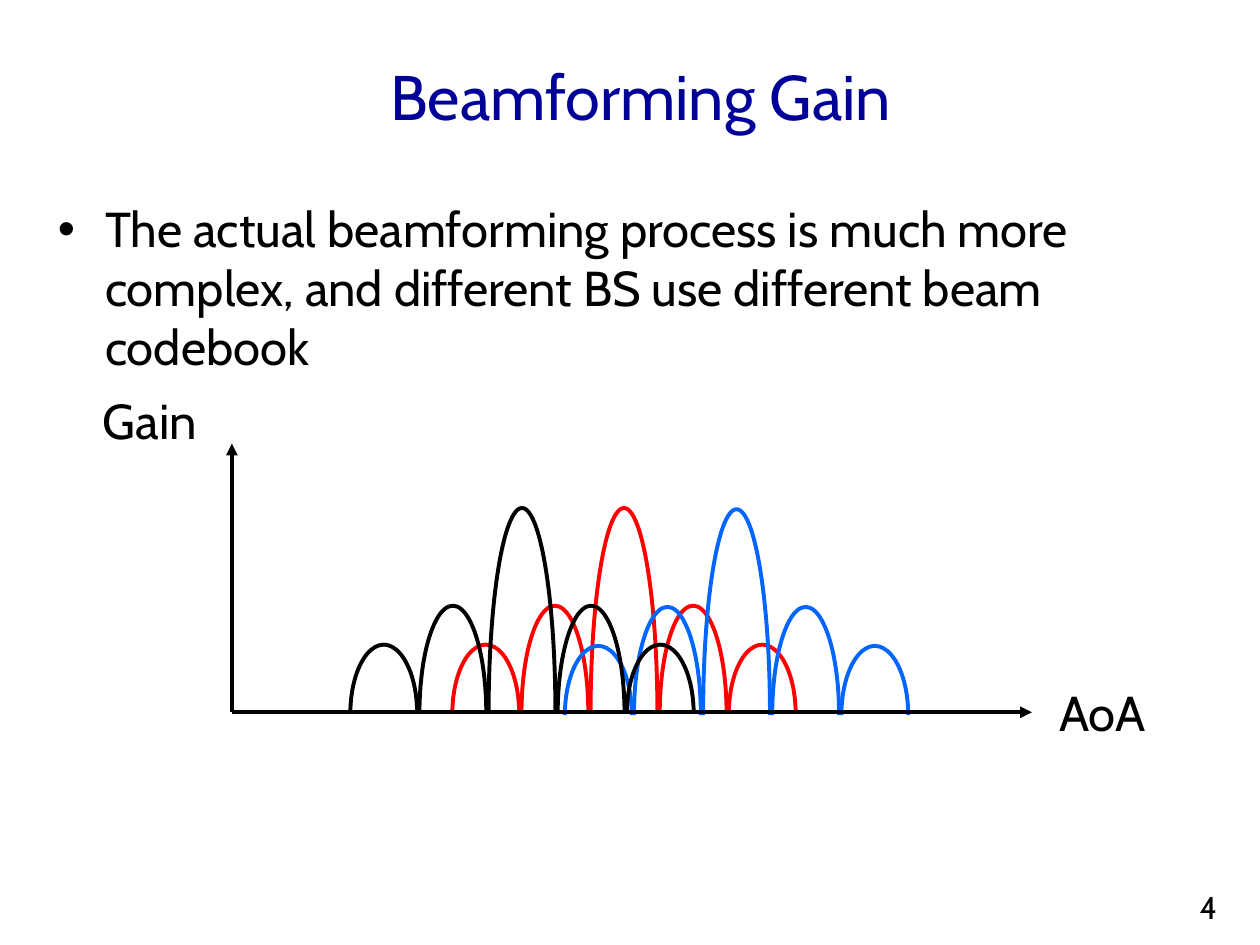
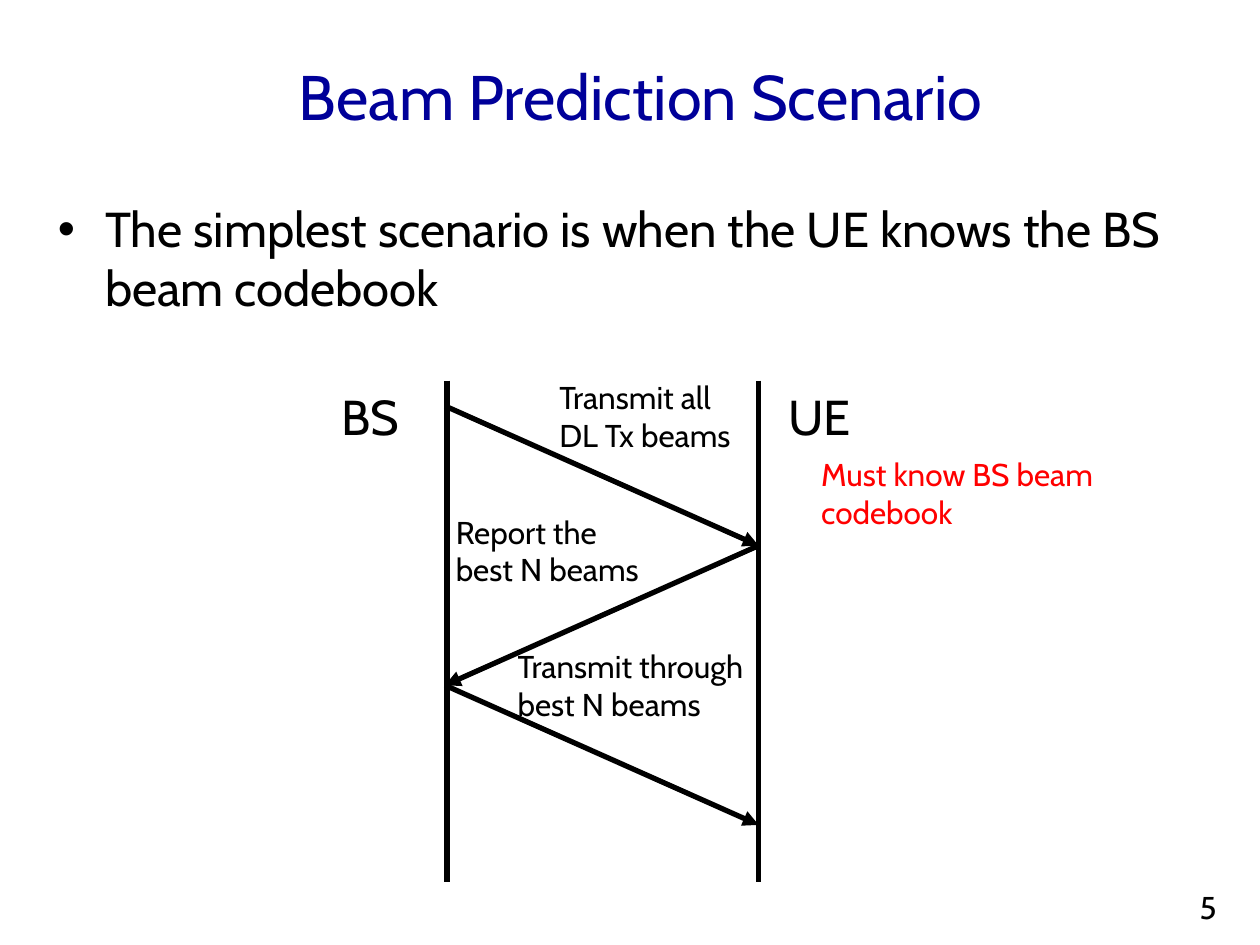
from pptx import Presentation
from pptx import util as u
from pptx.dml import color
from pptx.enum import shapes, text
from pptx.oxml import ns
from lxml import etree

Pt = u.Pt
BLACK, RED, BLUE, NAVY = "000000", "FF0000", "0066FF", "000099"


def rgb(code):
    return color.RGBColor.from_string(code)


def add_tag(parent, tag, **attributes):
    return etree.SubElement(parent, ns.qn(tag), attributes)


class SlideBuilder:
    font = "Cabin"
    title_size, body_size, note_size = 36, 28, 18

    def __init__(self, deck):
        self.deck = deck
        self.page = None

    def start(self, title, point, number):
        self.page = self.deck.slides.add_slide(self.deck.slide_layouts[5])
        box = self.page.shapes.title
        box.left, box.top, box.width, box.height = Pt(42), Pt(9.4), Pt(648), Pt(90)
        box.text_frame.vertical_anchor = text.MSO_ANCHOR.MIDDLE
        para = box.text_frame.paragraphs[0]
        para.alignment = text.PP_ALIGN.CENTER
        self.span(para, title, self.title_size, NAVY)
        self.bullet(point)
        self.label(str(number), 678.5, 504, 38.5, 24, self.note_size)

    def span(self, para, words, size, ink):
        span = para.add_run()
        span.text = words
        span.font.name = self.font
        span.font.size = Pt(size)
        span.font.color.rgb = rgb(ink)

    def label(self, words, left, top, width, height, size=body_size, ink=BLACK):
        box = self.page.shapes.add_textbox(Pt(left), Pt(top), Pt(width), Pt(height))
        box.text_frame.word_wrap = True
        para = box.text_frame.paragraphs[0]
        self.span(para, words, size, ink)
        return para

    def note(self, words, left, top, width, ink=BLACK):
        self.label(words, left, top, width, 51, self.note_size, ink)

    def bullet(self, words):
        para = self.label(words, 26, 110, 676, 372)
        props = para._p.get_or_add_pPr()
        props.set("marL", str(Pt(27)))
        props.set("indent", str(-Pt(27)))
        add_tag(props, "a:buFont", typeface="Arial")
        add_tag(props, "a:buChar", char="•")

    def line(self, start, end, width, arrow=False):
        line = self.page.shapes.add_connector(
            shapes.MSO_CONNECTOR.STRAIGHT, *(Pt(value) for value in start + end))
        line.line.color.rgb = rgb(BLACK)
        line.line.width = Pt(width)
        if arrow:
            add_tag(line.line._get_or_add_ln(), "a:tailEnd", type="triangle")
        add_tag(line._element.spPr, "a:effectLst")

    def lobe(self, left, base, width, height, ink):
        arc = self.page.shapes.add_shape(
            shapes.MSO_SHAPE.ARC, Pt(left), Pt(base - height), Pt(width), Pt(2 * height))
        arc.adjustments[0] = 108
        arc.adjustments[1] = 0
        arc.shadow.inherit = False
        arc.fill.background()
        arc.line.color.rgb = rgb(ink)
        arc.line.width = Pt(2.25)


def build_gain(builder):
    builder.start(
        "Beamforming Gain",
        "The actual beamforming process is much more complex, "
        "and different BS use different beam codebook", 4)
    lobe_heights = (39.6, 61.9, 117.7, 61.9, 39.6)
    lobe_width, lobe_pitch = 38.2, 39.5
    for beam_left, base, ink in ((258.5, 408, RED), (322.8, 408.7, BLUE), (200.2, 408, BLACK)):
        for index, height in enumerate(lobe_heights):
            builder.lobe(beam_left + index * lobe_pitch, base, lobe_width, height, ink)
    origin = (132.5, 407)
    builder.line(origin, (132.5, 253.5), 2.25, arrow=True)
    builder.line(origin, (589.7, 407), 2.25, arrow=True)
    builder.label("AoA", 598.3, 386.6, 70, 41)
    builder.label("Gain", 51.8, 219.6, 71.5, 41)


def build_scenario(builder):
    builder.start(
        "Beam Prediction Scenario",
        "The simplest scenario is when the UE knows the BS beam codebook", 5)
    station, device = 255.5, 433.5
    for name, name_left, timeline in (("BS", 188, station), ("UE", 443.5, device)):
        builder.line((timeline, 217.5), (timeline, 504), 3)
        builder.label(name, name_left, 217.5, 52, 41)

    first_send, step = 232, 79.8
    messages = (("Transmit all DL Tx beams", 312.5, 120),
                ("Report the best N beams", 253.4, 128),
                ("Transmit through best N beams", 288.7, 150))
    ends = [station - 1.2, device]
    for index, (words, left, width) in enumerate(messages):
        sent = first_send + index * step
        builder.line((ends[0], sent), (ends[1], sent + step), 3, arrow=True)
        builder.note(words, left, 212.4 + index * 77, width)
        ends.reverse()
    builder.note("Must know BS beam codebook", 462.2, 256.3, 178.5, RED)


def main():
    deck = Presentation()
    deck.slide_width, deck.slide_height = Pt(720), Pt(540)
    builder = SlideBuilder(deck)
    build_gain(builder)
    build_scenario(builder)
    deck.save("out.pptx")


if __name__ == "__main__":
    main()
